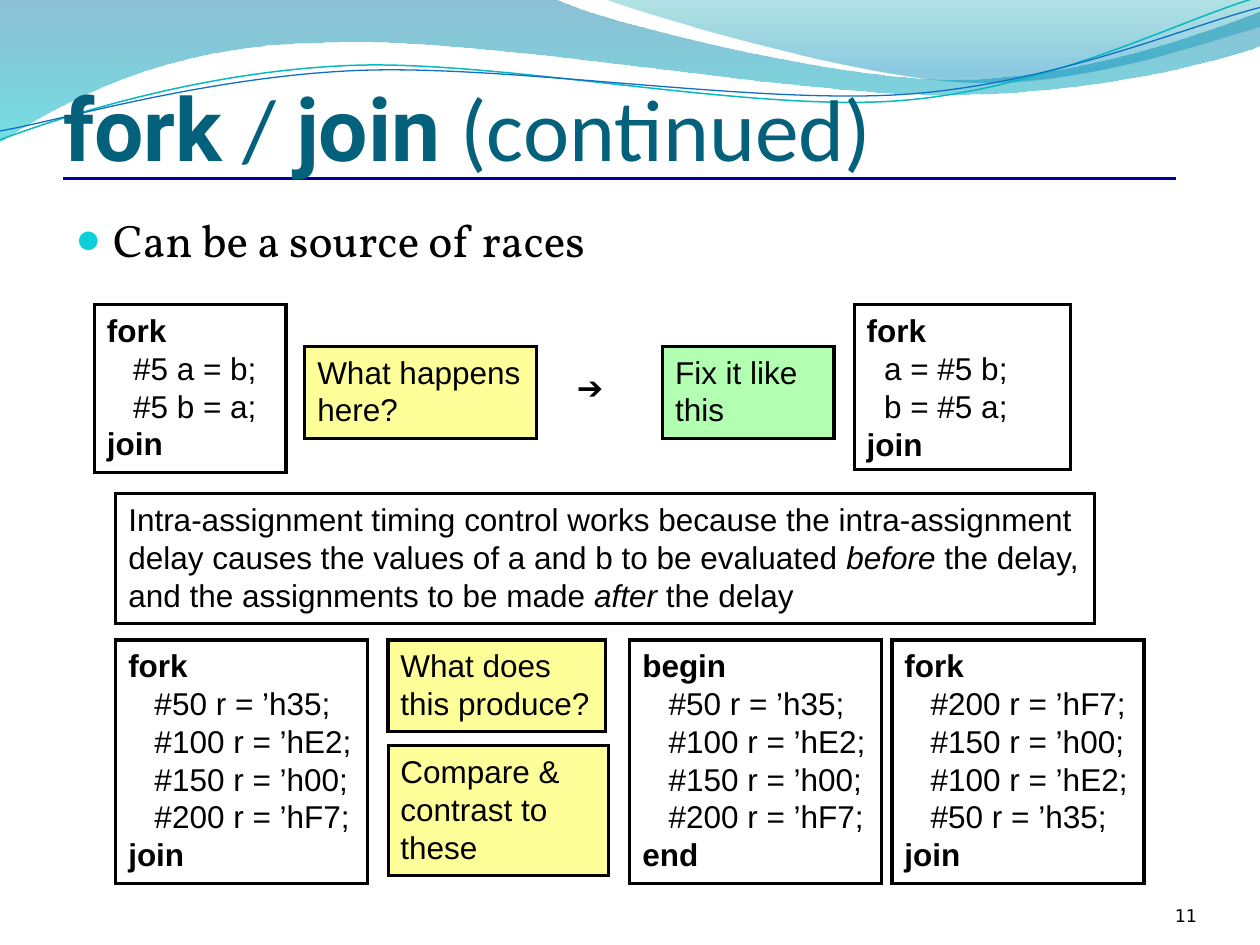
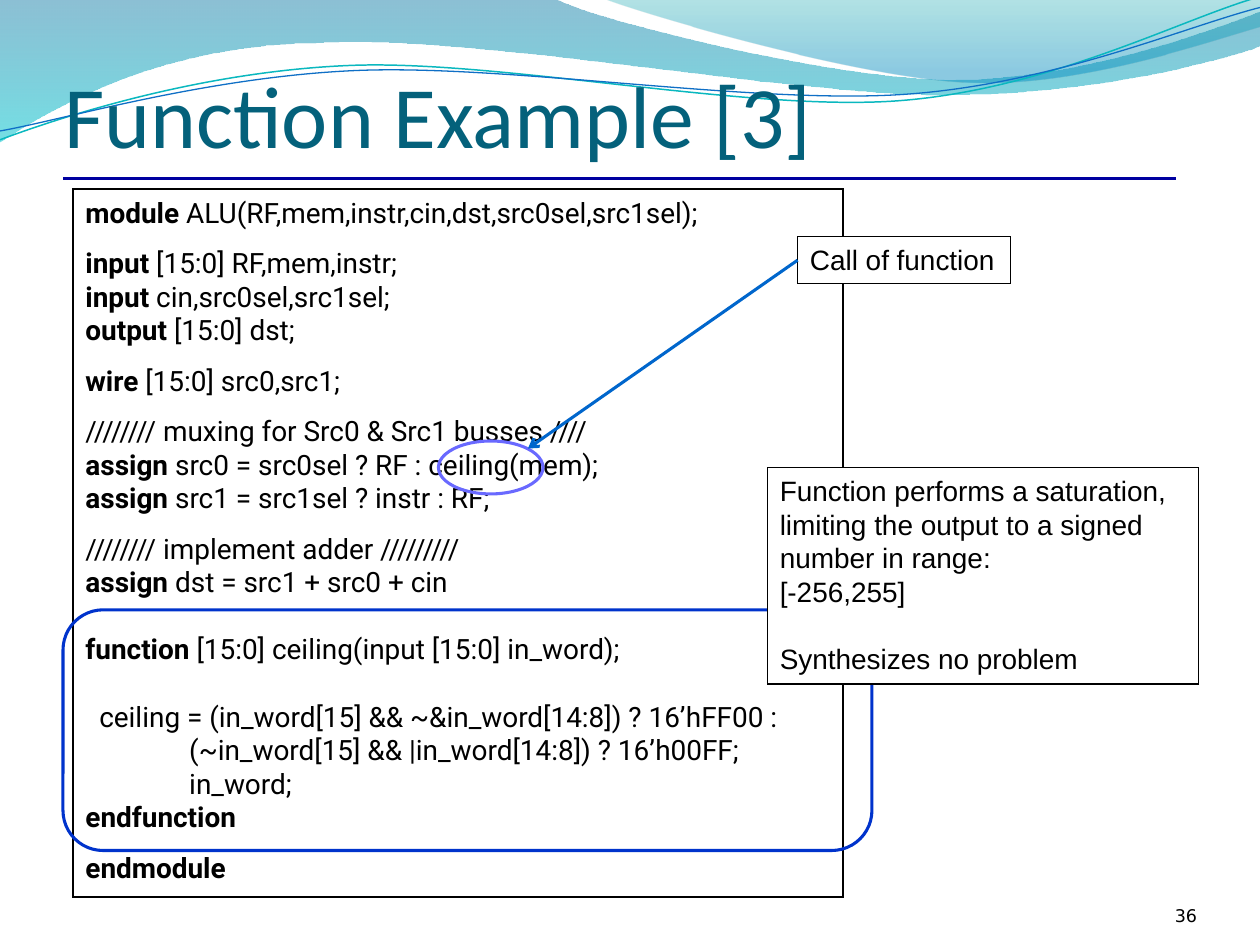
import math

from lxml import etree
from pptx import Presentation
from pptx.dml.color import RGBColor
from pptx.enum import shapes, text
from pptx.oxml.ns import qn
from pptx.shapes.shapetree import SlideShapes
from pptx.util import Inches, Pt

COLORS = {
    "black": "000000", "white": "FFFFFF", "title": "04617B", "rule": "0000A0",
    "bullet": "0BD0D9", "question": "FFFF99", "fix": "00FF00",
    "call": "6969FF", "arrow": "0066CC", "function": "0033CC",
    "teal_line": "0AB8BF", "blue_line": "0F6FC6",
    "wide_top": "0074A1", "wide_bottom": "00C6CF",
    "right_top": "00A1A9", "right_bottom": "008BBF",
}

# Waves: a start point, then segments of one point (line) or three (curve)
WIDE_WAVE = [
    (0, -0.01), [(4.4, -0.01)],
    [(4.76, 0.17), (6.64, 0.63), (7.58, 0.63)],
    [(8.53, 0.63), (9.58, 0.26), (10, 0.09)],
    [(10.01, 0.36)],
    [(9.83, 0.44), (8.7, 0.76), (7.46, 0.75)],
    [(6.22, 0.75), (3.82, 0.28), (2.57, 0.34)],
    [(1.29, 0.35), (0.46, 0.83), (-0.01, 1.13)],
    [(0, -0.01)],
]
RIGHT_WAVE = [
    (4.79, -0.01),
    [(5.09, 0.11), (6.82, 0.62), (7.69, 0.65)],
    [(8.56, 0.69), (9.61, 0.32), (10, 0.21)],
    [(10, 0)], [(4.79, -0.01)],
]
TEAL_CURVE = [
    (0, 1.11),
    [(0.48, 0.93), (1.58, 0.57), (2.77, 0.52)],
    [(3.95, 0.47), (5.93, 0.89), (7.13, 0.8)],
    [(8.33, 0.71), (9.38, 0.15), (9.98, -0.02)],
]
BLUE_CURVE = [
    (0, 1.04),
    [(0.47, 0.96), (1.64, 0.61), (2.83, 0.56)],
    [(4.03, 0.51), (5.97, 0.83), (7.17, 0.75)],
    [(8.36, 0.67), (9.41, 0.21), (10, 0.06)],
]
CURVE_TILT = 357.3

ALU_CODE = [
    "**module** ALU(RF,mem,instr,cin,dst,src0sel,src1sel);",
    "**input** [15:0] RF,mem,instr;",
    "**input** cin,src0sel,src1sel;",
    "**output** [15:0] dst;",
    "**wire** [15:0] src0,src1;",
    "//////// muxing for Src0 & Src1 busses ////",
    "**assign** src0 = src0sel ? RF : ceiling(mem);",
    "**assign** src1 = src1sel ? instr : RF;",
    "//////// implement adder /////////",
    "**assign **dst = src1 + src0 + cin",
    "**function** [15:0] ceiling(input [15:0] in_word);",
    "  ceiling = (in_word[15] && ~&in_word[14:8]) ? 16’hFF00 :",
    "               (~in_word[15] && |in_word[14:8]) ? 16’h00FF;",
    "               in_word;",
    "**endfunction**",
    "**endmodule**",
]
SMALL_GAP, FULL_GAP = 9.6, 19.2
ALU_GAPS = {1: SMALL_GAP, 4: SMALL_GAP, 5: SMALL_GAP, 8: SMALL_GAP,
            10: FULL_GAP, 11: FULL_GAP, 15: SMALL_GAP}


def rgb(name):
    return RGBColor.from_string(COLORS[name])


def set_opacity(color_parent, percent):
    color = next(color_parent.iter(qn("a:srgbClr")))
    etree.SubElement(color, qn("a:alpha"), val=str(percent * 1000))


def write_text(frame, lines, size=18, font="Arial", color="black", mark="bold",
               marked_font=None, gaps=None, align="LEFT", anchor="TOP",
               insets=(0.1, 0.05, 0.1, 0.05), bullet=False):
    """Write one paragraph a line; pieces between ** take the marked style."""
    frame.word_wrap = True
    frame.auto_size = text.MSO_AUTO_SIZE.NONE
    frame.vertical_anchor = getattr(text.MSO_ANCHOR, anchor)
    (frame.margin_left, frame.margin_top,
     frame.margin_right, frame.margin_bottom) = map(Inches, insets)
    for number, line in enumerate(lines):
        paragraph = frame.add_paragraph() if number else frame.paragraphs[0]
        paragraph.alignment = getattr(text.PP_ALIGN, align)
        if gaps and number in gaps:
            paragraph.space_before = Pt(gaps[number])
        if bullet:
            add_bullet(paragraph)
        for index, piece in enumerate(line.split("**")):
            if not piece:
                continue
            marked = index % 2 == 1
            run = paragraph.add_run()
            run.text = piece
            run.font.size = Pt(size)
            run.font.name = marked_font if marked and marked_font else font
            run.font.color.rgb = rgb(color)
            setattr(run.font, mark, marked)


def add_bullet(paragraph):
    properties = paragraph._p.get_or_add_pPr()
    properties.set("marL", str(Inches(0.3)))
    properties.set("indent", str(Inches(-0.3)))
    color = etree.SubElement(properties, qn("a:buClr"))
    etree.SubElement(color, qn("a:srgbClr"), val=COLORS["bullet"])
    etree.SubElement(properties, qn("a:buSzPct"), val="95000")
    etree.SubElement(properties, qn("a:buFont"), typeface="Arial")
    etree.SubElement(properties, qn("a:buChar"), char="●")


def add_label(canvas, box, lines, **style):
    label = canvas.add_textbox(*map(Inches, box))
    write_text(label.text_frame, lines, **style)


def add_outline(canvas, box, kind="RECTANGLE", fill=None, opacity=None,
                line="black", width=1.75):
    outline = canvas.add_shape(getattr(shapes.MSO_SHAPE, kind), *map(Inches, box))
    outline.shadow.inherit = False
    if fill:
        outline.fill.solid()
        outline.fill.fore_color.rgb = rgb(fill)
        if opacity:
            set_opacity(outline.element.spPr.find(qn("a:solidFill")), opacity)
    else:
        outline.fill.background()
    outline.line.color.rgb = rgb(line)
    outline.line.width = Pt(width)
    etree.SubElement(outline.line._get_or_add_ln(), qn("a:miter"), lim="800000")
    return outline


def add_box(canvas, box, lines, fill=None, opacity=None, width=1.75, **style):
    outline = add_outline(canvas, box, fill=fill, opacity=opacity, width=width)
    write_text(outline.text_frame, lines, **style)
    return outline


def add_line(canvas, start, end, color, arrow=False):
    line = canvas.add_connector(
        shapes.MSO_CONNECTOR.STRAIGHT, *map(Inches, start + end))
    line.line.color.rgb = rgb(color)
    line.line.width = Pt(1.75)
    if arrow:
        etree.SubElement(line.line._get_or_add_ln(), qn("a:tailEnd"), type="arrow")
    etree.SubElement(line.element.spPr, qn("a:effectLst"))
    return line


def level(points, tilt):
    """Turn points back by the tilt about the middle between first and last."""
    middle_x, middle_y = ((a + b) / 2 for a, b in zip(points[0], points[-1]))
    sine, cosine = math.sin(math.radians(-tilt)), math.cos(math.radians(tilt))
    turned = [((x - middle_x) * cosine - (y - middle_y) * sine + middle_x,
               (x - middle_x) * sine + (y - middle_y) * cosine + middle_y)
              for x, y in points]
    # Shift so that turning about the middle of the bounds restores the places
    offset_x, offset_y = ((min(v) + max(v)) / 2 - m for v, m in
                          zip(zip(*turned), (middle_x, middle_y)))
    shift_x = offset_x * cosine + offset_y * sine - offset_x
    shift_y = offset_y * cosine - offset_x * sine - offset_y
    return [(x + shift_x, y + shift_y) for x, y in turned]


def add_wave(canvas, outline, stops=None, line=None, width=0.75, tilt=0):
    """Draw a gradient band from (position, color, opacity) stops, or a curve."""
    points = [outline[0]] + [point for segment in outline[1:] for point in segment]
    points = [(Inches(x), Inches(y)) for x, y in level(points, tilt)]
    builder = canvas.build_freeform(*points[0])
    builder.add_line_segments(points[1:], close=bool(stops))
    wave = builder.convert_to_shape()
    # Join each three points of a curve into one Bézier segment
    legs = iter(list(wave.element.iter(qn("a:lnTo"))))
    for segment in outline[1:]:
        first, *others = [next(legs) for _ in segment]
        if others:
            first.tag = qn("a:cubicBezTo")
            for leg in others:
                first.append(leg[0])
                leg.getparent().remove(leg)
    wave.rotation = tilt
    wave.shadow.inherit = False
    if stops:
        wave.fill.gradient()
        wave.fill.gradient_angle = 270
        for stop, (position, color, opacity) in zip(wave.fill.gradient_stops, stops):
            stop.position = position
            stop.color.rgb = rgb(color)
            set_opacity(stop._gs, opacity)
        wave.line.fill.background()
    else:
        wave.fill.background()
        wave.line.color.rgb = rgb(line)
        wave.line.width = Pt(width)


def decorate_layout(layout):
    """Put the waves and the title rule on the layout that all slides use."""
    canvas = SlideShapes(layout.shapes.element, layout)
    add_wave(canvas, WIDE_WAVE, stops=[(0, "wide_top", 45), (1, "wide_bottom", 55)])
    add_wave(canvas, RIGHT_WAVE,
             stops=[(0, "right_top", 30), (0.8, "right_bottom", 45)])
    add_wave(canvas, TEAL_CURVE, line="teal_line", width=0.85, tilt=CURVE_TILT)
    add_wave(canvas, BLUE_CURVE, line="blue_line", tilt=CURVE_TILT)
    add_line(canvas, (0.5, 1.42), (9.33, 1.42), "rule")


def add_base_slide(deck, layout, title, title_at, number):
    """Add a slide with its title and number, and return its shapes."""
    canvas = deck.slides.add_slide(layout).shapes
    heading = canvas.title
    heading.left, heading.top, heading.width, heading.height = map(
        Inches, (*title_at, 9, 1.25))
    write_text(heading.text_frame, [title], size=50, font="Calibri", color="title",
               marked_font="Roboto", anchor="BOTTOM", insets=(0, 0.05, 0, 0))
    add_label(canvas, (8.67, 6.95, 0.83, 0.4), [number], size=10, font="DejaVu Sans",
              align="RIGHT", anchor="BOTTOM", insets=(0, 0, 0, 0))
    return canvas


def build_fork_join(deck, layout):
    canvas = add_base_slide(deck, layout, "**fork** / **join** (continued)",
                            (0.5, 0.17), "11")
    add_label(canvas, (0.5, 1.63, 9, 4.8), ["Can be a source of races"],
              size=26, font="Vollkorn", bullet=True)

    # Race and its fix
    add_box(canvas, (0.75, 2.42, 1.52, 1.33),
            ["**fork**", "   #5 a = b;", "   #5 b = a;", "**join**"])
    add_box(canvas, (2.42, 2.75, 1.84, 0.73), ["What happens", "here?"],
            fill="question")
    add_label(canvas, (4.48, 2.87, 0.53, 0.4), ["➔"])
    add_box(canvas, (6.78, 2.42, 1.72, 1.31),
            ["**fork**", "  a = #5 b;", "  b = #5 a;", "**join**"])
    add_box(canvas, (5.26, 2.75, 1.36, 0.73), ["Fix it like", "this"],
            fill="fix", opacity=30)
    add_box(canvas, (0.92, 3.92, 7.77, 1.03),
            ["Intra-assignment timing control works because the intra-assignment "
             "delay causes the values of a and b to be evaluated **before **the delay, "
             "and the assignments to be made **after **the delay"], mark="italic")

    # Three blocks to compare
    steps = [f"   #{delay} r = ’h{value};" for delay, value in
             ((50, "35"), (100, "E2"), (150, "00"), (200, "F7"))]
    for left, opening, body, closing in (
            (0.92, "fork", steps, "join"),
            (5, "begin", steps, "end"),
            (7.08, "fork", steps[::-1], "join")):
        add_box(canvas, (left, 5.08, 2, 1.93),
                [f"**{opening}**", *body, f"**{closing}**"])
    add_box(canvas, (3.08, 5.08, 1.73, 0.73), ["What does", "this produce?"],
            fill="question")
    add_box(canvas, (3.08, 5.92, 1.75, 1.03), ["Compare & contrast to these"],
            fill="question")


def build_function_example(deck, layout):
    canvas = add_base_slide(deck, layout, "Function Example [3]", (0.51, 0.07), "36")
    add_box(canvas, (0.58, 1.5, 6.11, 5.62), ALU_CODE, width=0.75,
            size=16, font="Roboto", gaps=ALU_GAPS)

    # Call of the function
    add_outline(canvas, (3.48, 3.5, 0.83, 0.42), kind="OVAL", line="call")
    call_label = add_box(canvas, (6.33, 1.88, 1.69, 0.37), ["Call of function"],
                         fill="white", width=0.75, size=16)
    call_arrow = add_line(canvas, (6.33, 2.06), (4.19, 3.56), "arrow", arrow=True)
    call_arrow.begin_connect(call_label, 1)

    # Body of the function and its explanation
    add_outline(canvas, (0.5, 4.84, 6.42, 1.91), kind="ROUNDED_RECTANGLE",
                line="function")
    add_box(canvas, (6.09, 3.71, 3.42, 1.72),
            ["Function performs a saturation, limiting the output to a signed "
             "number in range:", "[-256,255]", "Synthesizes no problem"],
            fill="white", width=0.75, size=16, gaps={2: FULL_GAP})


def main():
    deck = Presentation()
    deck.slide_width, deck.slide_height = Inches(10), Inches(7.5)
    layout = deck.slide_layouts[5]
    decorate_layout(layout)
    build_fork_join(deck, layout)
    build_function_example(deck, layout)
    deck.save("out.pptx")


if __name__ == "__main__":
    main()
